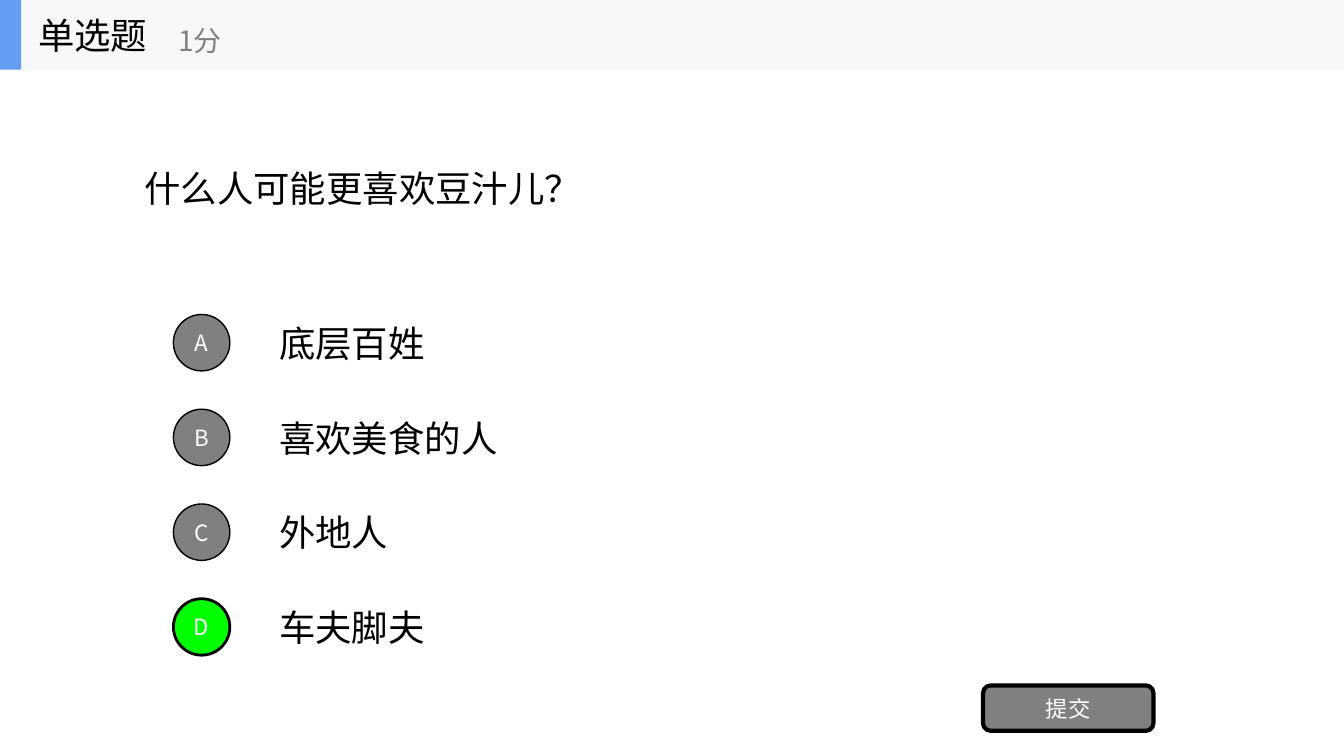
from dataclasses import dataclass

from lxml import etree
from pptx import Presentation
from pptx import util as u
from pptx.dml.color import RGBColor
from pptx.enum import shapes, text
from pptx.oxml import ns


@dataclass(frozen=True)
class Theme:
    font: str = "Noto Sans CJK SC"
    ink: str = "000000"
    paper: str = "FFFFFF"
    muted: str = "808080"
    correct: str = "00FF00"
    band: str = "F6F7F8"
    accent: str = "639EF4"
    body: int = 26
    score: int = 20
    label: int = 16


class QuizSlide:
    def __init__(self, prs, theme):
        self.theme = theme
        self.slide = prs.slides.add_slide(prs.slide_layouts[5])
        self.shapes = self.slide.shapes

    def set_words(self, sp, words, size, color, align=text.PP_ALIGN.LEFT):
        tf = sp.text_frame
        tf.word_wrap = True
        tf.auto_size = text.MSO_AUTO_SIZE.NONE
        tf.vertical_anchor = text.MSO_ANCHOR.MIDDLE
        p = tf.paragraphs[0]
        p.alignment = align
        r = p.add_run()
        r.text = words
        r.font.size = u.Pt(size)
        r.font.name = self.theme.font
        r.font.color.rgb = RGBColor.from_string(color)
        # East Asian characters take their own typeface element
        ea = etree.SubElement(r.font._element, ns.qn("a:ea"))
        ea.set("typeface", self.theme.font)

    def title(self, words, box):
        sp = self.shapes.title
        sp.left, sp.top, sp.width, sp.height = map(u.Inches, box)
        self.set_words(sp, words, self.theme.body, self.theme.ink)

    def text(self, words, box, size, color, parent=None):
        sp = (parent or self.shapes).add_textbox(*map(u.Inches, box))
        self.set_words(sp, words, size, color)

    def shape(self, kind, box, fill, line=None, words=None, parent=None):
        sp = (parent or self.shapes).add_shape(kind, *map(u.Inches, box))
        sp.shadow.inherit = False
        sp.fill.solid()
        sp.fill.fore_color.rgb = RGBColor.from_string(fill)
        if line:
            sp.line.color.rgb = RGBColor.from_string(self.theme.ink)
            sp.line.width = u.Pt(line)
        else:
            sp.line.fill.background()
        if words:
            tf = sp.text_frame
            tf.margin_left = tf.margin_right = 0
            self.set_words(sp, words, self.theme.label, self.theme.paper,
                           text.PP_ALIGN.CENTER)


def main():
    prs = Presentation()
    prs.slide_width, prs.slide_height = u.Inches(13.33), u.Inches(7.5)
    theme = Theme()
    quiz = QuizSlide(prs, theme)
    kinds = shapes.MSO_SHAPE

    # Question
    quiz.title("什么人可能更喜欢豆汁儿？", (1.33, 0.69, 10.67, 2.34))

    # Answer options, the correct one highlighted
    options = ["底层百姓", "喜欢美食的人", "外地人", "车夫脚夫"]
    answer = "D"
    first_top, step = 3.05, 0.94
    for i, (letter, option) in enumerate(zip("ABCD", options)):
        top = first_top + i * step
        fill, line = (theme.correct, 2) if letter == answer else (theme.muted, 1)
        quiz.text(option, (2.67, top, 9.33, 0.7), theme.body, theme.ink)
        quiz.shape(kinds.OVAL, (1.72, top + 0.07, 0.56, 0.56), fill, line, letter)

    # Submit button
    quiz.shape(kinds.ROUNDED_RECTANGLE, (9.75, 6.8, 1.69, 0.45),
               theme.muted, 3, "提交")

    # Header band with question type and score
    header = quiz.shapes.add_group_shape().shapes
    for width, fill in ((13.33, theme.band), (0.21, theme.accent)):
        quiz.shape(kinds.RECTANGLE, (0, 0, width, 0.69), fill, parent=header)
    quiz.text("单选题", (0.28, 0, 2.08, 0.69), theme.body, theme.ink, header)
    quiz.text("1分", (1.67, 0.12, 2.5, 0.56), theme.score, theme.muted, header)

    prs.save("out.pptx")


if __name__ == "__main__":
    main()
